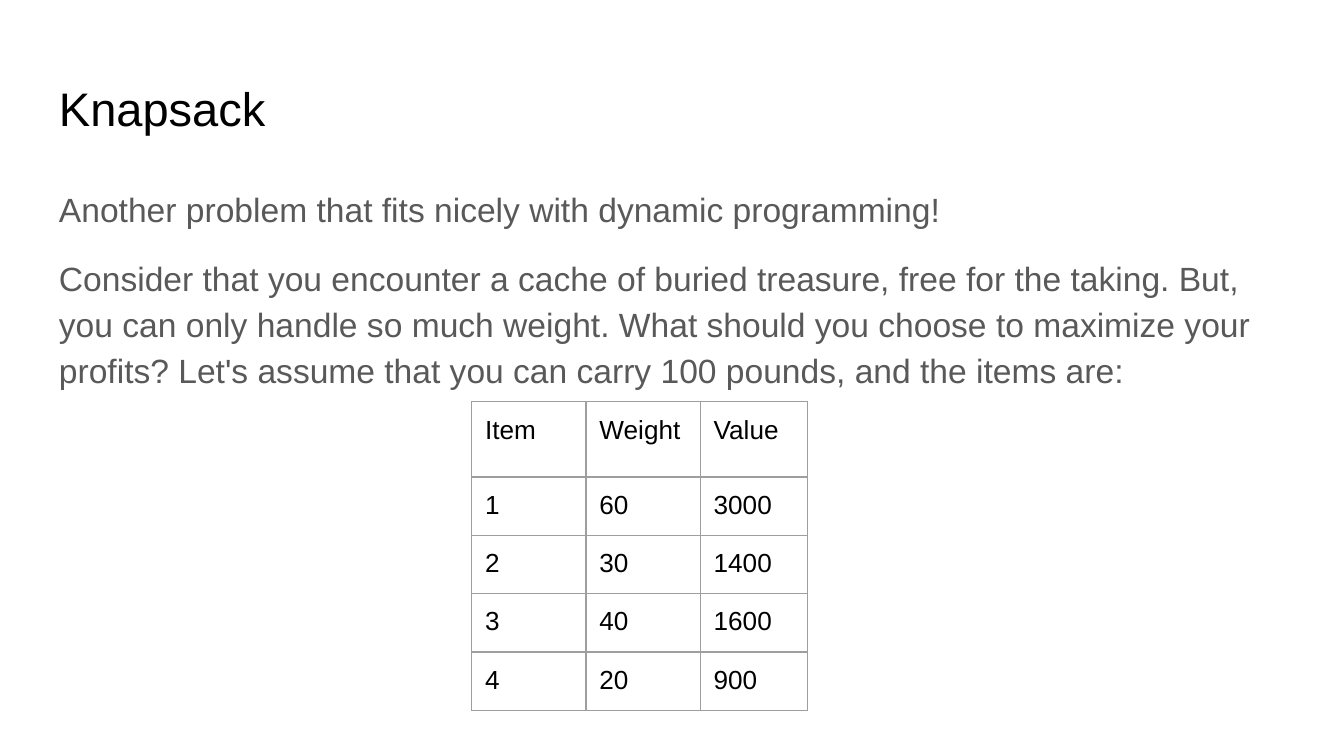
from lxml import etree
from pptx import Presentation
from pptx.dml.color import RGBColor
from pptx.enum import text
from pptx.oxml import ns
from pptx.util import Inches, Pt

BLACK = RGBColor(0x00, 0x00, 0x00)
GRAY = RGBColor(0x59, 0x59, 0x59)
EDGE = RGBColor(0x9E, 0x9E, 0x9E)
FONT = "Arial"
PAD = Inches(0.1)

TITLE = "Knapsack"
BODY = [
    "Another problem that fits nicely with dynamic programming!",
    "Consider that you encounter a cache of buried treasure, free for the "
    "taking. But, you can only handle so much weight. What should you choose "
    "to maximize your profits? Let's assume that you can carry 100 pounds, "
    "and the items are:",
]
ITEMS = [
    ("Item", "Weight", "Value"),
    (1, 60, 3000),
    (2, 30, 1400),
    (3, 40, 1600),
    (4, 20, 900),
]
COLS = [0.85, 0.85, 0.8]
ROWS = [0.56, 0.43, 0.39, 0.39, 0.39]


def pad(box):
    box.margin_left = box.margin_right = PAD
    box.margin_top = box.margin_bottom = PAD


def style(para, size, color):
    for run in para.runs:
        run.font.name = FONT
        run.font.size = Pt(size)
        run.font.color.rgb = color


def add_text(slide, top, height, lines, size, color, pitch=1.0):
    box = slide.shapes.add_textbox(
        Inches(0.34), Inches(top), Inches(9.32), Inches(height))
    frame = box.text_frame
    frame.word_wrap = True
    frame.vertical_anchor = text.MSO_ANCHOR.TOP
    pad(frame)
    frame.text = "\n".join(lines)
    for i, para in enumerate(frame.paragraphs):
        para.line_spacing = pitch
        para.space_before = Pt(12 if i else 0)
        style(para, size, color)


def add_edges(cell):
    props = cell._tc.get_or_add_tcPr()
    for side in ("a:lnL", "a:lnR", "a:lnT", "a:lnB"):
        line = etree.SubElement(props, ns.qn(side), w=str(Pt(0.75)))
        fill = etree.SubElement(line, ns.qn("a:solidFill"))
        etree.SubElement(fill, ns.qn("a:srgbClr"), val=str(EDGE))


def add_grid(slide):
    grid = slide.shapes.add_table(
        len(ROWS), len(COLS), Inches(3.51), Inches(2.99),
        Inches(sum(COLS)), Inches(sum(ROWS))).table
    grid.first_row = grid.horz_banding = False
    for col, width in zip(grid.columns, COLS):
        col.width = Inches(width)
    for row, height, item in zip(grid.rows, ROWS, ITEMS):
        row.height = Inches(height)
        for cell, value in zip(row.cells, item):
            pad(cell)
            cell.text_frame.text = str(value)
            style(cell.text_frame.paragraphs[0], 14, BLACK)
            add_edges(cell)
            cell.fill.background()


def main():
    deck = Presentation()
    deck.slide_width = Inches(10)
    deck.slide_height = deck.slide_width * 9 // 16
    slide = deck.slides.add_slide(deck.slide_layouts[6])
    add_text(slide, 0.49, 0.63, [TITLE], 25.2, BLACK)
    add_text(slide, 1.26, 3.74, BODY, 18, GRAY, pitch=1.15)
    add_grid(slide)
    deck.save("out.pptx")


if __name__ == "__main__":
    main()
